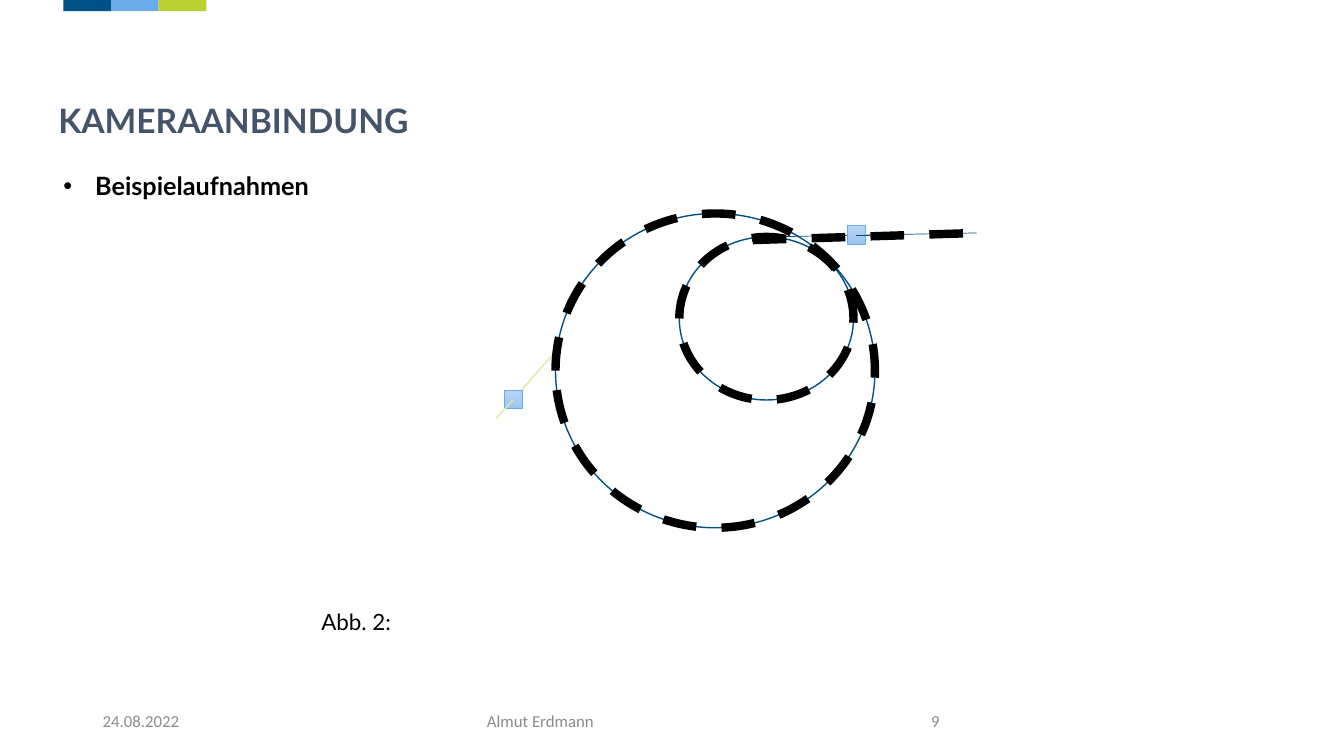
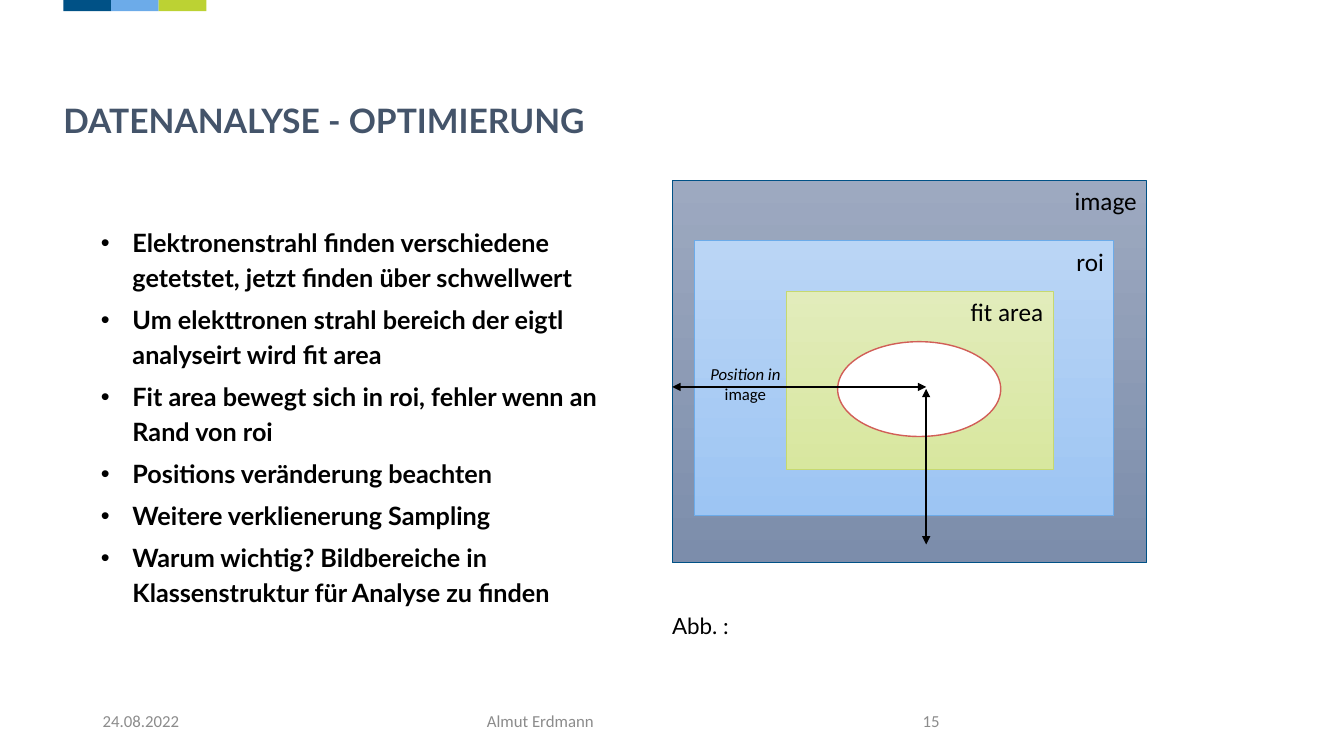
from dataclasses import dataclass
from typing import Any, Optional, Sequence

import lxml.etree
import pptx
import pptx.dml.color
import pptx.enum.dml
import pptx.enum.shapes
import pptx.enum.text
import pptx.oxml.ns
import pptx.util

Cm, Pt = pptx.util.Cm, pptx.util.Pt
RGBColor = pptx.dml.color.RGBColor
Form = pptx.enum.shapes.MSO_SHAPE
Align = pptx.enum.text.PP_ALIGN
Anchor = pptx.enum.text.MSO_ANCHOR
qn = pptx.oxml.ns.qn

BLACK = RGBColor(0x00, 0x00, 0x00)
WHITE = RGBColor(0xFF, 0xFF, 0xFF)
NAVY = RGBColor(0x00, 0x51, 0x86)
SKY = RGBColor(0x6C, 0xAB, 0xE9)
LIME = RGBColor(0xBC, 0xD2, 0x33)
SLATE = RGBColor(0x44, 0x54, 0x6A)
GREY = RGBColor(0x8C, 0x8C, 0x8C)
PALE = RGBColor(0xDD, 0xE8, 0xA9)
MOSS = RGBColor(0xC6, 0xD9, 0x70)
RED = RGBColor(0xD1, 0x5E, 0x57)
STEEL_FADE = (RGBColor(0x9D, 0xA9, 0xC0), RGBColor(0x7C, 0x8D, 0xAB))
SKY_FADE = (RGBColor(0xBA, 0xD5, 0xF5), RGBColor(0x9D, 0xC5, 0xF3))
LIME_FADE = (RGBColor(0xE2, 0xEC, 0xBB), RGBColor(0xD8, 0xE7, 0x9F))

HEAD_FONT, BASE_FONT = "Lato", "Calibri"
INDENT = Cm(0.8)
TAB_WIDTH = 1.2
HANDLE = 0.46


@dataclass(frozen=True)
class Box:
    """A frame in centimetres."""
    left: float
    top: float
    width: float
    height: float

    def place(self) -> tuple:
        return Cm(self.left), Cm(self.top), Cm(self.width), Cm(self.height)


@dataclass(frozen=True)
class Pen:
    color: RGBColor
    width: float
    dash: bool = False


@dataclass(frozen=True)
class Shape:
    form: Any
    box: Box
    pen: Optional[Pen] = None
    fill: Any = None
    label: str = ""


@dataclass(frozen=True)
class Line:
    start: tuple[float, float]
    end: tuple[float, float]
    pen: Pen
    heads: bool = False


THIN = Pen(NAVY, 0.5)
RING = Pen(NAVY, 1)
SPRIG = Pen(PALE, 1)
DASHED = Pen(BLACK, 6, True)
ARROW = Pen(BLACK, 1.5)

OUTER = Box(14, 5.38, 8.05, 7.92)
INNER = Box(17.12, 5.97, 4.39, 4.11)


def handle(left: float, top: float) -> Shape:
    return Shape(Form.RECTANGLE, Box(left, top, HANDLE, HANDLE),
                 Pen(SKY, 0.5), SKY_FADE)


CAMERA = (
    Shape(Form.OVAL, OUTER, RING),
    Line((14, 8.86), (12.73, 10.29), SPRIG),
    Shape(Form.OVAL, INNER, RING),
    Shape(Form.FLOWCHART_CONNECTOR, INNER, DASHED),
    Shape(Form.FLOWCHART_CONNECTOR, OUTER, DASHED),
    Line((24.61, 5.87), (19.33, 5.97), THIN),
    Line((18.97, 6.05), (24.61, 5.87), DASHED),
    handle(21.36, 5.69),
    handle(12.7, 9.83),
    Line((12.93, 10.08), (12.5, 10.54), SPRIG),
    Line((21.56, 5.92), (21.92, 5.92), THIN),
)

AREAS = (
    Shape(Form.RECTANGLE, Box(16.94, 4.55, 11.96, 9.63), THIN,
          STEEL_FADE, "image"),
    Shape(Form.RECTANGLE, Box(17.5, 6.07, 10.57, 6.93), Pen(SKY, 0.5),
          SKY_FADE, "roi"),
    Shape(Form.RECTANGLE, Box(19.81, 7.34, 6.73, 4.5), Pen(MOSS, 0.5),
          LIME_FADE, "fit area"),
    Shape(Form.OVAL, Box(21.11, 8.61, 4.11, 2.39), Pen(RED, 1), WHITE),
    Line((16.94, 9.75), (23.34, 9.75), ARROW, heads=True),
    Line((23.34, 13.72), (23.34, 9.8), ARROW, heads=True),
)

POINTS = (
    "Elektronenstrahl finden verschiedene getetstet, "
    "jetzt finden über schwellwert",
    "Um elekttronen strahl bereich der eigtl analyseirt wird fit area",
    "Fit area bewegt sich in roi, fehler wenn an Rand von roi",
    "Positions veränderung beachten",
    "Weitere verklienerung Sampling",
    "Warum wichtig? Bildbereiche in Klassenstruktur für Analyse zu finden",
)


def write(frame: Any, *lines: str, size: float, font: str = BASE_FONT,
          color: RGBColor = BLACK, bold: bool = False, lead: str = "",
          align: Any = Align.LEFT, anchor: Any = Anchor.TOP,
          inset: bool = True, pitch: Any = None, bullet: bool = False) -> None:
    """Fill a frame, one paragraph a line; lead is an italic opening."""
    frame.word_wrap = True
    frame.vertical_anchor = anchor
    if not inset:
        frame.margin_left = frame.margin_right = 0
        frame.margin_top = frame.margin_bottom = 0
    for index, line in enumerate(lines):
        para = frame.add_paragraph() if index else frame.paragraphs[0]
        para.alignment = align
        if pitch is not None:
            para.line_spacing = pitch
        if bullet:
            para.space_before = Pt(5)
            props = para._p.get_or_add_pPr()
            props.set("marL", str(INDENT))
            props.set("indent", str(-INDENT))
            lxml.etree.SubElement(props, qn("a:buFont")).set("typeface", "Arial")
            lxml.etree.SubElement(props, qn("a:buChar")).set("char", "•")
        for part, slant in ((lead, True), (line, False)):
            if part:
                run = para.add_run()
                run.text = part
                run.font.name = font
                run.font.size = Pt(size)
                run.font.bold = bold
                run.font.italic = slant
                run.font.color.rgb = color


def add_text(slide: Any, box: Box, *lines: str, **style: Any) -> None:
    write(slide.shapes.add_textbox(*box.place()).text_frame, *lines, **style)


def set_pen(line: Any, pen: Pen) -> None:
    line.color.rgb = pen.color
    line.width = Pt(pen.width)
    if pen.dash:
        line.dash_style = pptx.enum.dml.MSO_LINE.DASH


def draw_shape(slide: Any, item: Shape) -> None:
    shape = slide.shapes.add_shape(item.form, *item.box.place())
    shape.shadow.inherit = False
    if item.fill is None:
        shape.fill.background()
    elif isinstance(item.fill, RGBColor):
        shape.fill.solid()
        shape.fill.fore_color.rgb = item.fill
    else:
        shape.fill.gradient()
        shape.fill.gradient_angle = 270
        for stop, color in zip(shape.fill.gradient_stops, item.fill):
            stop.color.rgb = color
    if item.pen:
        set_pen(shape.line, item.pen)
    else:
        shape.line.fill.background()
    if item.label:
        write(shape.text_frame, item.label, size=18, align=Align.RIGHT)


def draw_line(slide: Any, item: Line) -> None:
    ends = [Cm(value) for value in item.start + item.end]
    line = slide.shapes.add_connector(
        pptx.enum.shapes.MSO_CONNECTOR.STRAIGHT, *ends)
    set_pen(line.line, item.pen)
    props = line._element.spPr
    if item.heads:
        stroke = props.find(qn("a:ln"))
        for tag in ("a:headEnd", "a:tailEnd"):
            lxml.etree.SubElement(stroke, qn(tag)).set("type", "triangle")
    lxml.etree.SubElement(props, qn("a:effectLst"))


def draw(slide: Any, items: Sequence[Any]) -> None:
    for item in items:
        if isinstance(item, Line):
            draw_line(slide, item)
        else:
            draw_shape(slide, item)


def add_slide(deck: Any, title: str, left: float, number: int) -> Any:
    """Add a slide with colour tabs, title and footer."""
    slide = deck.slides.add_slide(deck.slide_layouts[6])
    for index, color in enumerate((NAVY, SKY, LIME)):
        tab = Box(1.6 + index * TAB_WIDTH, 0, TAB_WIDTH, 0.28)
        draw_shape(slide, Shape(Form.RECTANGLE, tab, fill=color))
    add_text(slide, Box(left, 2.31, 14.83, 1.24), title, size=24,
             font=HEAD_FONT, color=SLATE, bold=True, anchor=Anchor.BOTTOM,
             inset=False, pitch=0.9)
    for start, width, text, align in (
            (2.34, 7.62, "24.08.2022", Align.LEFT),
            (9.53, 8.18, "Almut Erdmann", Align.CENTER),
            (16.31, 7.62, str(number), Align.RIGHT)):
        add_text(slide, Box(start, 17.65, width, 1.02), text, size=12,
                 color=GREY, align=align, anchor=Anchor.MIDDLE)
    return slide


def add_list(slide: Any, left: float, top: float, *lines: str) -> None:
    add_text(slide, Box(left, top, 12.85, 9.63), *lines, size=18,
             font=HEAD_FONT, bold=True, inset=False, pitch=Pt(25), bullet=True)


def add_note(slide: Any, left: float, top: float, text: str) -> None:
    """Add a figure caption."""
    add_text(slide, Box(left, top, 15.32, 2), text, size=16,
             font=HEAD_FONT, inset=False, pitch=Pt(25))


def main() -> None:
    deck = pptx.Presentation()
    deck.slide_width, deck.slide_height = Cm(33.87), Cm(19.05)

    slide = add_slide(deck, "KAMERAANBINDUNG", 1.47, 9)
    add_list(slide, 1.6, 4.17, "Beispielaufnahmen")
    add_note(slide, 8.1, 15.11, "Abb. 2:")
    draw(slide, CAMERA)

    slide = add_slide(deck, "DATENANALYSE - OPTIMIERUNG", 1.6, 15)
    add_list(slide, 2.54, 5.61, *POINTS)
    add_note(slide, 16.94, 15.21, "Abb. :")
    draw(slide, AREAS)
    add_text(slide, Box(17.4, 9.04, 2.77, 1.27), " image",
             lead="Position in", size=12, align=Align.CENTER)

    deck.save("out.pptx")


if __name__ == "__main__":
    main()
